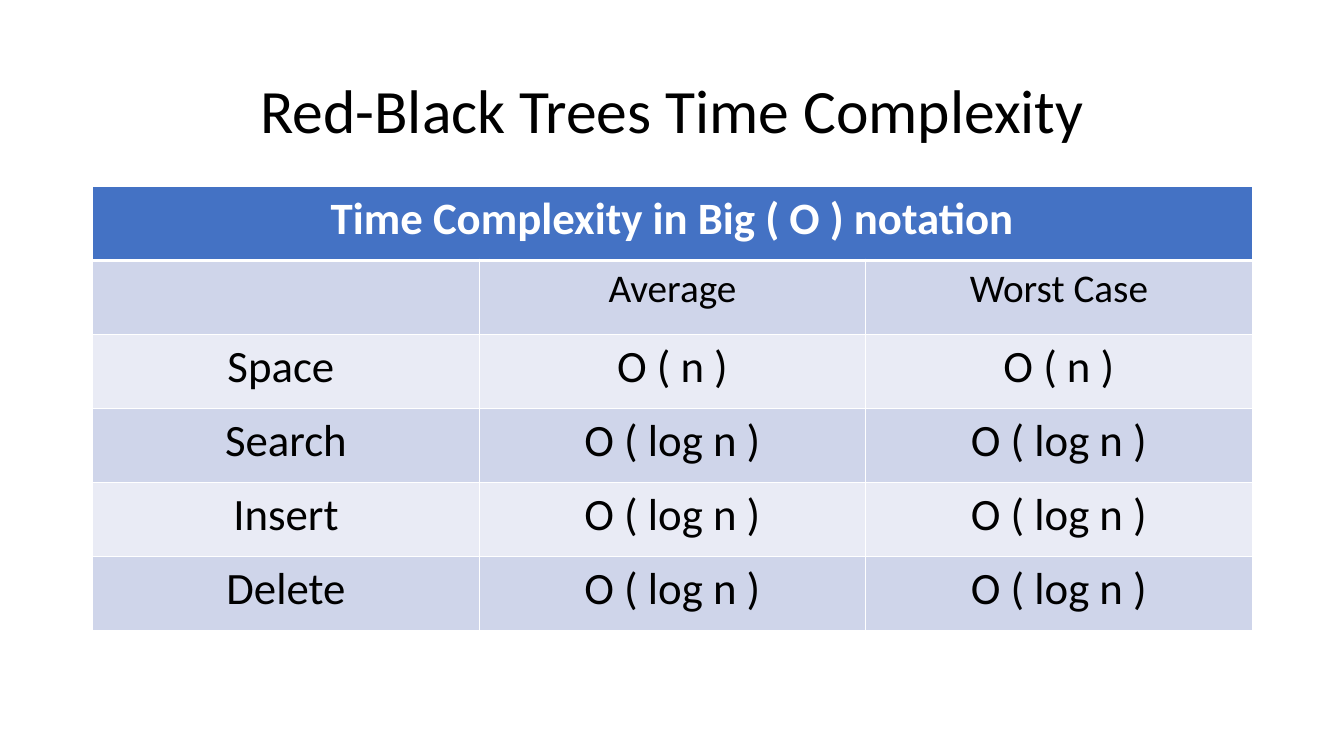
from dataclasses import dataclass

from lxml import etree
from pptx import Presentation
from pptx.dml.color import RGBColor
from pptx.enum.text import MSO_ANCHOR, MSO_AUTO_SIZE, PP_ALIGN
from pptx.oxml.ns import qn
from pptx.util import Inches, Pt

CENTER = PP_ALIGN.CENTER
MIDDLE = MSO_ANCHOR.MIDDLE
NO_AUTOFIT = MSO_AUTO_SIZE.NONE

FONT = "Calibri"
BLACK, WHITE = "000000", "FFFFFF"
HEADER_BLUE, BAND_DARK, BAND_LIGHT = "4472C4", "CFD5EA", "E9EBF5"

# Layout in inches
LEFT, CONTENT_WIDTH = 0.92, 11.5
TITLE_TOP, TITLE_HEIGHT = 0.4, 1.45
TABLE_TOP, TABLE_HEIGHT = TITLE_TOP + TITLE_HEIGHT, 4.41


@dataclass
class TableRow:
    labels: tuple[str, str, str]
    fill: str
    size: int = 32
    color: str = BLACK
    bold: bool = False
    top_line: int = 1
    bottom_line: int = 1


LOG_N = "O ( log n )"
ROWS = [
    TableRow(("Time Complexity in Big ( O ) notation", "", ""), HEADER_BLUE,
             color=WHITE, bold=True, bottom_line=3),
    TableRow(("", "Average", "Worst Case"), BAND_DARK, size=28, top_line=3),
    TableRow(("Space ", "O ( n )", "O ( n )"), BAND_LIGHT),
    TableRow(("Search", LOG_N, LOG_N), BAND_DARK),
    TableRow(("Insert", LOG_N, LOG_N), BAND_LIGHT),
    TableRow(("Delete", LOG_N, LOG_N), BAND_DARK),
]


def rgb(color: str) -> RGBColor:
    return RGBColor.from_string(color)


def add_text(paragraph, text: str, size: int, color: str, bold: bool = False) -> None:
    paragraph.alignment = CENTER
    run = paragraph.add_run()
    run.text = text
    run.font.name = FONT
    run.font.size = Pt(size)
    run.font.bold = bold
    run.font.color.rgb = rgb(color)


def add_borders(cell, row: TableRow) -> None:
    properties = cell._tc.get_or_add_tcPr()
    widths = {"a:lnL": 1, "a:lnR": 1, "a:lnT": row.top_line, "a:lnB": row.bottom_line}
    for side, width in widths.items():
        line = etree.SubElement(properties, qn(side), w=str(Pt(width)))
        fill = etree.SubElement(line, qn("a:solidFill"))
        etree.SubElement(fill, qn("a:srgbClr"), val=WHITE)


def add_title(slide, text: str) -> None:
    title = slide.shapes.title
    title.left, title.top = Inches(LEFT), Inches(TITLE_TOP)
    title.width, title.height = Inches(CONTENT_WIDTH), Inches(TITLE_HEIGHT)
    frame = title.text_frame
    frame.word_wrap = True
    frame.auto_size = NO_AUTOFIT
    frame.vertical_anchor = MIDDLE
    frame.paragraphs[0].line_spacing = 0.9
    add_text(frame.paragraphs[0], text, 44, BLACK)


def add_complexity_table(slide, rows: list[TableRow]) -> None:
    table = slide.shapes.add_table(
        len(rows), len(rows[0].labels), Inches(LEFT), Inches(TABLE_TOP),
        Inches(CONTENT_WIDTH), Inches(TABLE_HEIGHT)).table
    for row_index, row in enumerate(rows):
        for column_index, label in enumerate(row.labels):
            cell = table.cell(row_index, column_index)
            add_borders(cell, row)
            cell.fill.solid()
            cell.fill.fore_color.rgb = rgb(row.fill)
            if label:
                add_text(cell.text_frame.paragraphs[0], label, row.size, row.color, row.bold)
    # The heading spans every column
    table.cell(0, 0).merge(table.cell(0, len(rows[0].labels) - 1))


def main() -> None:
    deck = Presentation()
    deck.slide_width, deck.slide_height = Inches(13.33), Inches(7.5)
    slide = deck.slides.add_slide(deck.slide_layouts[5])
    add_title(slide, "Red-Black Trees Time Complexity")
    add_complexity_table(slide, ROWS)
    deck.save("out.pptx")


if __name__ == "__main__":
    main()
